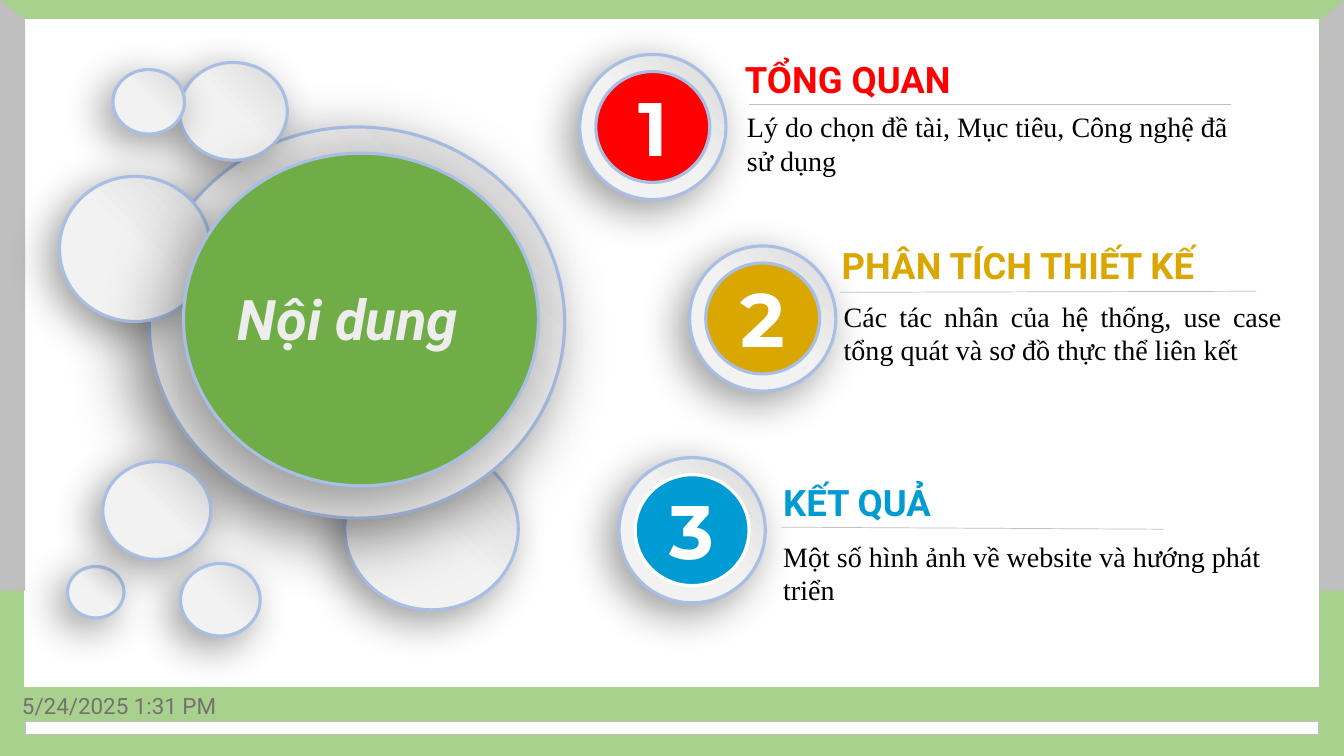
"""Builds the contents slide: a cluster of circles and three numbered sections."""
from lxml import etree
from pptx import Presentation, util as u
from pptx.dml.color import RGBColor
from pptx.enum import shapes, text
from pptx.oxml.ns import qn

GREEN, GRAY, WHITE, RIM = "A9D18E", "BFBFBF", "FFFFFF", "A9BEE4"
FRAME = [
    ((0, 0, 13.33, 0.56), GREEN, None),
    ((0, 0.56, 13.33, 6.94), GREEN, None),
    ((0.25, 0.2, 12.83, 6.61), WHITE, WHITE),
    ((0.25, 7.16, 12.83, 0.13), WHITE, GRAY),
]
SIDES = [
    [(0, 0), (0.25, 0.2), (0.25, 5.86), (0, 5.86)],
    [(13.33, 0), (13.09, 0.2), (13.09, 5.86), (13.33, 5.86)],
]
SOFT, DEEP = (30, 10), (50, 18)
BUBBLES = [
    ((3.42, 4.44, 1.72, 1.61), SOFT),
    ((1.48, 1.26, 4.12, 3.88), DEEP),
    ((0.59, 1.75, 1.5, 1.44), SOFT),
    ((1.78, 0.62, 1.07, 0.97), SOFT),
    ((1.12, 0.69, 0.71, 0.64), SOFT),
    ((0.67, 5.62, 0.56, 0.51), SOFT),
    ((1.02, 4.58, 1.07, 0.97), SOFT),
    ((1.79, 5.59, 0.79, 0.72), SOFT),
]
SECTIONS = [
    dict(number="1", color="FF0000", rim=RIM, badge=(5.75, 0.54),
         title="TỔNG QUAN", title_at=(7.29, 0.52, 5.39, 0.54),
         rule=(7.43, 1.04, 12.21, 1.04),
         body="Lý do chọn đề tài, Mục tiêu, Công nghệ đã sử dụng",
         body_at=(7.31, 1.04, 5.21, 0.77), align="LEFT"),
    dict(number="2", color="DAA600", rim=RIM, badge=(6.84, 2.44),
         title="PHÂN TÍCH THIẾT KẾ", title_at=(8.25, 2.36, 5, 0.54),
         rule=(8.33, 2.9, 12.46, 2.89),
         body="Các tác nhân của hệ thống, use case tổng quát và sơ đồ thực thể liên kết",
         body_at=(8.27, 2.92, 4.54, 0.77), align="JUSTIFY"),
    dict(number="3", color="009BD2", rim=WHITE, badge=(6.14, 4.54),
         title="KẾT QUẢ", title_at=(7.67, 4.71, 4.27, 0.54),
         rule=(7.75, 5.23, 11.54, 5.25),
         body="Một số hình ảnh về website và hướng phát triển",
         body_at=(7.67, 5.3, 5, 0.77), align="LEFT"),
]


def rgb(value):
    return RGBColor.from_string(value)


def inches(values):
    return [u.Inches(v) for v in values]


def paint(sp, fill, line=None, width=1):
    sp.shadow.inherit = False
    if fill:
        sp.fill.solid()
        sp.fill.fore_color.rgb = rgb(fill)
    else:
        sp.fill.gradient()
        sp.fill.gradient_angle = 45
        for stop, (pos, color) in zip(sp.fill.gradient_stops, [(0.5, "F2F2F2"), (1, "D9D9D9")]):
            stop.position = pos
            stop.color.rgb = rgb(color)
    if line:
        sp.line.color.rgb = rgb(line)
        sp.line.width = u.Pt(width)
    else:
        sp.line.fill.background()


def add_circle(s, box, fill=None, rim=RIM, shadow=None):
    sp = s.shapes.add_shape(shapes.MSO_SHAPE.OVAL, *inches(box))
    paint(sp, fill, rim, 2.25)
    if shadow:
        blur, dist = shadow
        effects = sp._element.spPr.find(qn("a:effectLst"))
        outer = etree.SubElement(effects, qn("a:outerShdw"), blurRad=str(u.Pt(blur)),
                                 dist=str(u.Pt(dist)), dir="8100000", algn="tr", rotWithShape="0")
        color = etree.SubElement(outer, qn("a:srgbClr"), val="000000")
        etree.SubElement(color, qn("a:alpha"), val="40000")


def add_text(s, box, words, font, size, color, bold=False, italic=False,
             align="LEFT", anchor="TOP"):
    tf = s.shapes.add_textbox(*inches(box)).text_frame
    tf.word_wrap = True
    tf.vertical_anchor = text.MSO_ANCHOR[anchor]
    p = tf.paragraphs[0]
    p.text = words
    p.alignment = text.PP_ALIGN[align]
    p.font.name, p.font.size = font, u.Pt(size)
    p.font.bold, p.font.italic = bold, italic
    p.font.color.rgb = rgb(color)


def add_rule(s, ends):
    line = s.shapes.add_connector(shapes.MSO_CONNECTOR.STRAIGHT, *inches(ends))
    line.line.color.rgb = rgb(GRAY)
    line.line.width = u.Pt(0.5)
    etree.SubElement(line._element.spPr, qn("a:effectLst"))


def add_section(s, item):
    x, y = item["badge"]
    color = item["color"]
    add_circle(s, (x, y, 1.45, 1.44), shadow=SOFT)
    add_circle(s, (x + 0.16, y + 0.17, 1.13, 1.1), color, item["rim"])
    add_text(s, (x, y + 0.21, 1.45, 1.01), item["number"], "Montserrat", 54, WHITE,
             bold=True, align="CENTER")
    add_text(s, item["title_at"], item["title"], "Roboto", 26, color, bold=True)
    add_rule(s, item["rule"])
    add_text(s, item["body_at"], item["body"], "Times New Roman", 20, "000000",
             align=item["align"])


def main():
    prs = Presentation()
    prs.slide_width, prs.slide_height = inches((13.33, 7.5))
    s = prs.slides.add_slide(prs.slide_layouts[6])
    for box, fill, line in FRAME:
        paint(s.shapes.add_shape(shapes.MSO_SHAPE.RECTANGLE, *inches(box)), fill, line)
    for side in SIDES:
        start, *rest = [inches(point) for point in side]
        outline = s.shapes.build_freeform(*start)
        outline.add_line_segments(rest)
        paint(outline.convert_to_shape(), GRAY)
    for box, shadow in BUBBLES:
        add_circle(s, box, shadow=shadow)
    for item in SECTIONS:
        add_section(s, item)
    add_circle(s, (1.82, 1.52, 3.52, 3.3), "70AD47", shadow=DEEP)
    add_text(s, (-0.5, 2.77, 7.9, 0.77), "Nội dung", "Roboto", 40, "EDEDED",
             bold=True, italic=True, align="CENTER")
    add_text(s, (0.12, 6.8, 3, 0.4), "5/24/2025 1:31 PM", "Roboto", 16, "767171",
             anchor="MIDDLE")
    prs.save("out.pptx")


if __name__ == "__main__":
    main()
